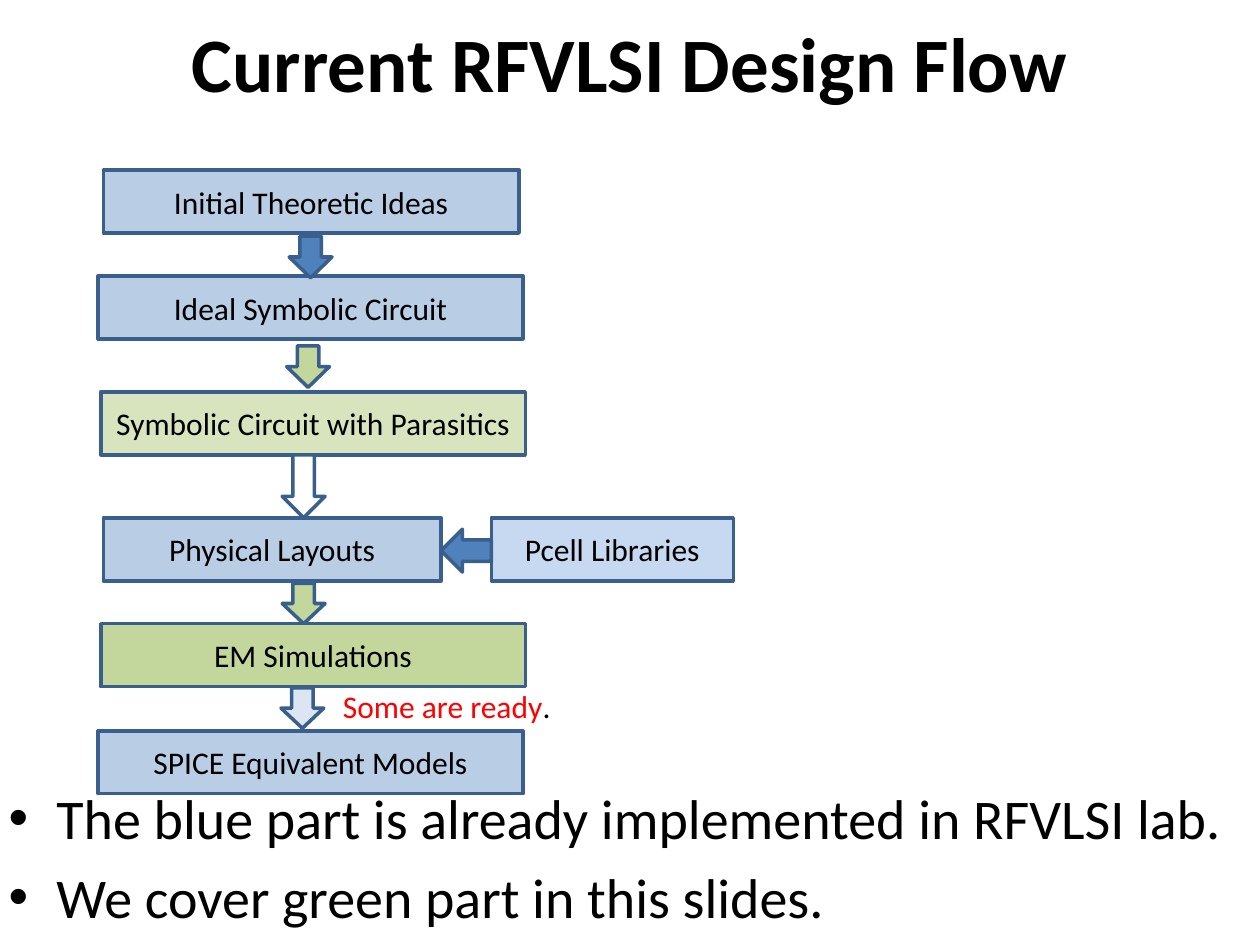
from typing import NamedTuple

from lxml import etree
from pptx import Presentation
from pptx import util as u
from pptx.dml.color import RGBColor
from pptx.enum import shapes, text
from pptx.oxml.ns import qn

PX = 9144
FONT = "Calibri"
BLACK = RGBColor(0x00, 0x00, 0x00)
WHITE = RGBColor(0xFF, 0xFF, 0xFF)
RED = RGBColor(0xFF, 0x00, 0x00)
EDGE = RGBColor(0x3A, 0x5F, 0x8C)
BLUE = RGBColor(0x4F, 0x81, 0xBD)
SKY = RGBColor(0xB9, 0xCD, 0xE5)
ICE = RGBColor(0xC6, 0xD9, 0xF1)
MIST = RGBColor(0xDC, 0xE6, 0xF2)
GREEN = RGBColor(0xC3, 0xD6, 0x9B)
LIME = RGBColor(0xD7, 0xE4, 0xBD)
STEP_H = 50
ARROW_H = 34


class Step(NamedTuple):
    label: str
    left: int
    top: int
    width: int
    fill: RGBColor


class Arrow(NamedTuple):
    left: int
    top: int
    length: int
    fill: RGBColor
    turn: int = 90


STEPS = [
    Step("Initial Theoretic Ideas", 82, 135, 330, SKY),
    Step("Ideal Symbolic Circuit", 78, 219, 337, SKY),
    Step("Symbolic Circuit with Parasitics", 80, 311, 337, LIME),
    Step("Pcell Libraries", 390, 411, 192, ICE),
    Step("EM Simulations", 80, 495, 337, GREEN),
    Step("Physical Layouts", 82, 411, 268, SKY),
    Step("SPICE Equivalent Models", 78, 580, 337, SKY),
]
ARROWS = [
    Arrow(230, 187, 33, BLUE),
    Arrow(228, 274, 33, GREEN),
    Arrow(216, 369, 50, WHITE),
    Arrow(225, 462, 32, GREEN),
    Arrow(350, 420, 40, BLUE, 180),
    Arrow(224, 545, 32, MIST),
]
NOTES = [
    "The blue part is already implemented in RFVLSI lab.",
    "We cover green part in this slides.",
]


def place(left: int, top: int, width: int, height: int) -> list[int]:
    return [v * PX for v in (left, top, width, height)]


def style(run, size: int, color: RGBColor = BLACK, bold: bool = False) -> None:
    run.font.name = FONT
    run.font.size = u.Pt(size)
    run.font.bold = bold
    run.font.color.rgb = color


def add_form(slide, kind, spot: list[int], fill: RGBColor):
    form = slide.shapes.add_shape(kind, *spot)
    form.shadow.inherit = False
    form.fill.solid()
    form.fill.fore_color.rgb = fill
    form.line.color.rgb = EDGE
    form.line.width = u.Pt(2)
    return form


def add_step(slide, step: Step) -> None:
    spot = place(step.left, step.top, step.width, STEP_H)
    form = add_form(slide, shapes.MSO_SHAPE.RECTANGLE, spot, step.fill)
    frame = form.text_frame
    frame.text = step.label
    frame.vertical_anchor = text.MSO_ANCHOR.MIDDLE
    para = frame.paragraphs[0]
    para.alignment = text.PP_ALIGN.CENTER
    style(para.runs[0], 18)


def add_arrow(slide, arrow: Arrow) -> None:
    spot = place(arrow.left, arrow.top, arrow.length, ARROW_H)
    form = add_form(slide, shapes.MSO_SHAPE.RIGHT_ARROW, spot, arrow.fill)
    form.rotation = arrow.turn


def add_title(slide) -> None:
    frame = slide.shapes.add_textbox(*place(0, -2, 1000, 102)).text_frame
    frame.word_wrap = True
    frame.vertical_anchor = text.MSO_ANCHOR.MIDDLE
    para = frame.paragraphs[0]
    para.text = "Current RFVLSI Design Flow"
    para.alignment = text.PP_ALIGN.CENTER
    style(para.runs[0], 44, bold=True)


def add_notes(slide) -> None:
    frame = slide.shapes.add_textbox(*place(-3, 617, 1003, 133)).text_frame
    frame.word_wrap = True
    frame.text = "\n".join(NOTES)
    for i, para in enumerate(frame.paragraphs):
        props = para._p.get_or_add_pPr()
        props.set("marL", str(38 * PX))
        props.set("indent", str(-38 * PX))
        etree.SubElement(props, qn("a:buFont")).set("typeface", "Arial")
        etree.SubElement(props, qn("a:buChar")).set("char", "•")
        if i:
            para.space_before = u.Pt(6.4)
        style(para.runs[0], 32)


def add_remark(slide) -> None:
    frame = slide.shapes.add_textbox(*place(262, 540, 185, 40)).text_frame
    frame.word_wrap = False
    frame.auto_size = text.MSO_AUTO_SIZE.SHAPE_TO_FIT_TEXT
    para = frame.paragraphs[0]
    para.alignment = text.PP_ALIGN.CENTER
    for part, color in (("Some are ready", RED), (".", BLACK)):
        run = para.add_run()
        run.text = part
        style(run, 18, color)


def main() -> None:
    deck = Presentation()
    deck.slide_width, deck.slide_height = 1000 * PX, 750 * PX
    slide = deck.slides.add_slide(deck.slide_layouts[6])
    add_title(slide)
    add_notes(slide)
    for step in STEPS:
        add_step(slide, step)
    for arrow in ARROWS:
        add_arrow(slide, arrow)
    add_remark(slide)
    deck.save("out.pptx")


if __name__ == "__main__":
    main()
